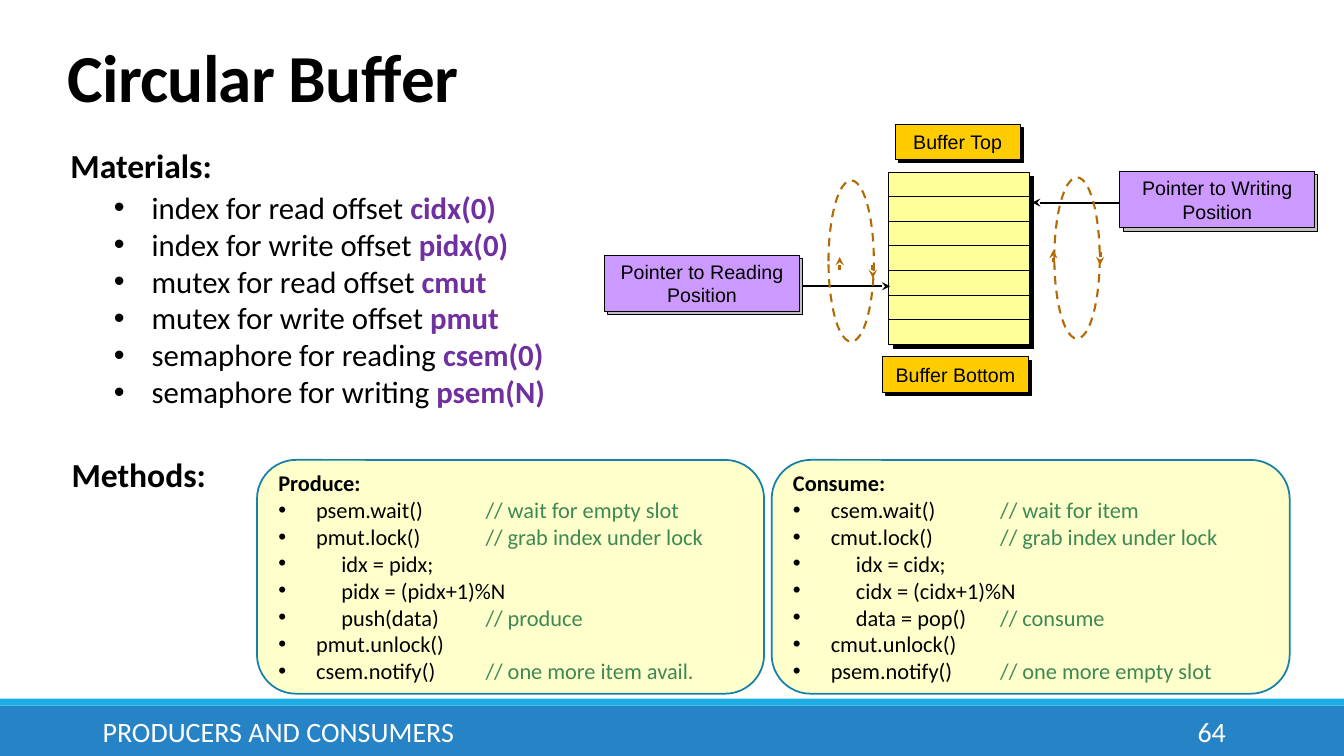
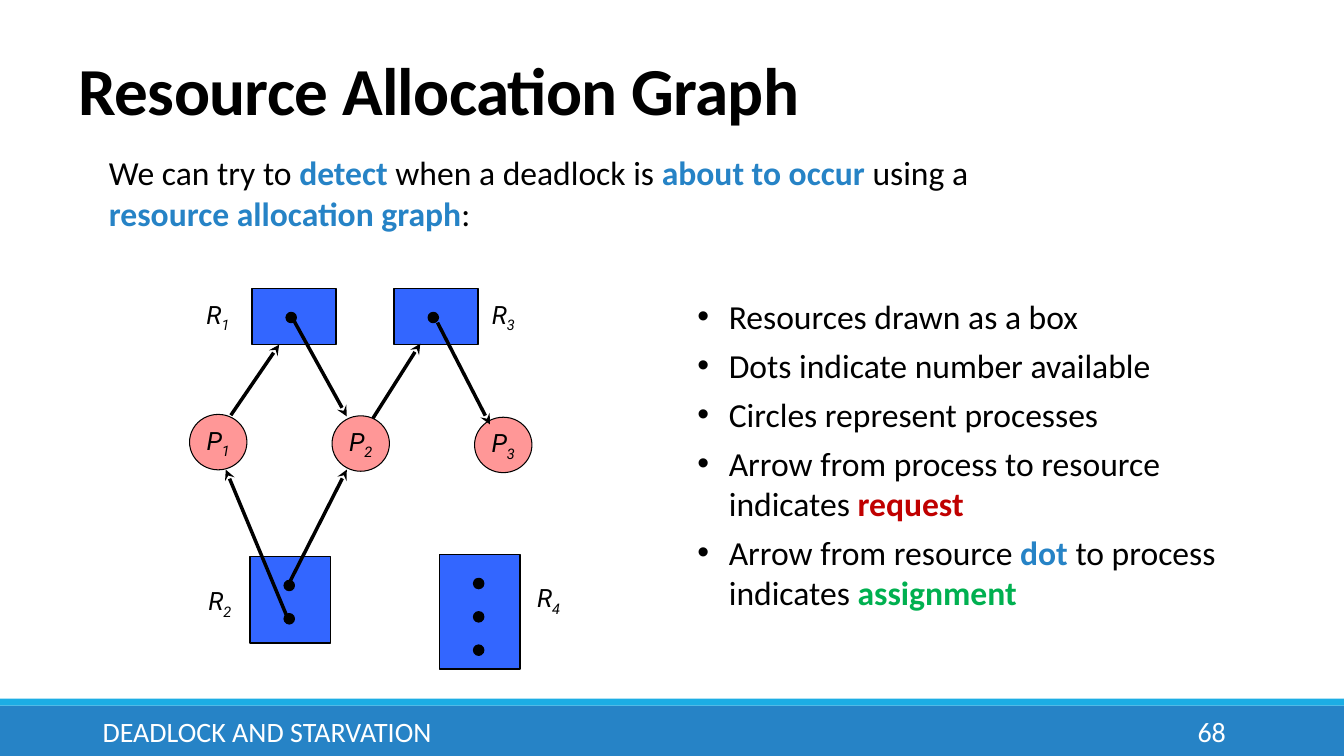
from dataclasses import dataclass
from typing import NamedTuple

import lxml.etree
import pptx
import pptx.dml.color
import pptx.enum.dml
import pptx.enum.shapes
import pptx.enum.text
import pptx.oxml.ns
import pptx.util

Pt = pptx.util.Pt
qn = pptx.oxml.ns.qn
SHAPE = pptx.enum.shapes.MSO_SHAPE
ALIGN = pptx.enum.text.PP_ALIGN
ANCHOR = pptx.enum.text.MSO_ANCHOR

BLACK, WHITE = "000000", "FFFFFF"
BLUE, CYAN = "2683C6", "1CADE4"
PURPLE, GREEN, BROWN = "7030A0", "3E8853", "B26B02"
GOLD, LILAC, SILVER, YELLOW = "FFCC00", "CC99FF", "C0C0C0", "FFFF99"
CODE_FILL, CODE_EDGE = "FFFFCC", "1580A9"
RESOURCE, PROCESS = "3366FF", "FF9797"


class Box(NamedTuple):
    left: float
    top: float
    width: float
    height: float

    def moved(self, across: float, down: float) -> "Box":
        return Box(self.left + across, self.top + down, self.width, self.height)


@dataclass(frozen=True)
class Piece:
    text: str
    color: str = BLACK
    bold: bool = False
    italic: bool = False
    subscript: bool = False


@dataclass(frozen=True)
class Style:
    size: float
    font: str = "Calibri"
    align: ALIGN = ALIGN.LEFT
    anchor: ANCHOR = ANCHOR.TOP
    after: float = 0
    indent: float = 0
    tab: float = 0
    margin: float | None = None


class Label(NamedTuple):
    text: str
    box: Box
    fill: str
    shadow: str


class Listing(NamedTuple):
    box: Box
    heading: str
    lines: list[tuple[str, str]]


class Resource(NamedTuple):
    number: str
    box: Box
    label: tuple[float, float]
    dots: int


class Arrow(NamedTuple):
    x1: float
    y1: float
    x2: float
    y2: float


Line = list[Piece]


def colour(hex_text: str) -> pptx.dml.color.RGBColor:
    return pptx.dml.color.RGBColor.from_string(hex_text)


def place(shape, box: Box) -> None:
    shape.left, shape.top, shape.width, shape.height = (Pt(value) for value in box)


def add_bullet(paragraph, style: Style) -> None:
    properties = paragraph._p.get_or_add_pPr()
    properties.set("marL", str(Pt(style.indent)))
    properties.set("indent", str(-Pt(style.indent)))
    lxml.etree.SubElement(properties, qn("a:buFont")).set("typeface", "Arial")
    lxml.etree.SubElement(properties, qn("a:buChar")).set("char", "•")
    if style.tab:
        tabs = lxml.etree.SubElement(properties, qn("a:tabLst"))
        tab = lxml.etree.SubElement(tabs, qn("a:tab"))
        tab.set("pos", str(Pt(style.tab)))
        tab.set("algn", "l")


def add_runs(paragraph, pieces: Line, style: Style) -> None:
    for piece in pieces:
        run = paragraph.add_run()
        run.text = piece.text
        run.font.name = style.font
        run.font.size = Pt(style.size)
        run.font.bold = piece.bold
        run.font.italic = piece.italic
        run.font.color.rgb = colour(piece.color)
        if piece.subscript:
            run.font._element.set("baseline", "-25000")


def write(shape, lines: list[Line], style: Style, plain_lines: int = 0) -> None:
    frame = shape.text_frame
    frame.word_wrap = True
    frame.vertical_anchor = style.anchor
    if style.margin is not None:
        frame.margin_left = frame.margin_right = Pt(style.margin)
    for index, pieces in enumerate(lines):
        paragraph = frame.add_paragraph() if index else frame.paragraphs[0]
        paragraph.alignment = style.align
        paragraph.space_after = Pt(style.after)
        if style.indent and index >= plain_lines:
            add_bullet(paragraph, style)
        add_runs(paragraph, pieces, style)


def add_text(slide, box: Box, lines: list[Line], style: Style) -> None:
    write(slide.shapes.add_textbox(*(Pt(value) for value in box)), lines, style)


def add_shape(slide, kind, box: Box, fill: str | None, edge: str | None = BLACK,
              weight: float = 0.75):
    shape = slide.shapes.add_shape(kind, *(Pt(value) for value in box))
    shape.shadow.inherit = False
    if fill:
        shape.fill.solid()
        shape.fill.fore_color.rgb = colour(fill)
    else:
        shape.fill.background()
    if edge:
        shape.line.color.rgb = colour(edge)
        shape.line.width = Pt(weight)
    else:
        shape.line.fill.background()
    return shape


def add_line(slide, ends: Arrow, weight: float, color: str = BLACK,
             head: bool = True) -> None:
    connector = slide.shapes.add_connector(
        pptx.enum.shapes.MSO_CONNECTOR.STRAIGHT, *(Pt(value) for value in ends))
    connector.line.color.rgb = colour(color)
    connector.line.width = Pt(weight)
    if head:
        outline = connector.line._get_or_add_ln()
        lxml.etree.SubElement(outline, qn("a:tailEnd")).set("type", "stealth")
    lxml.etree.SubElement(connector._element.spPr, qn("a:effectLst"))


def move_bands_to_layout(slide) -> None:
    tree = slide.slide_layout.shapes.element
    bands = [(Box(0, 504, 960, 36), BLUE), (Box(0, 499, 960, 5), CYAN)]
    for index, (box, fill) in enumerate(bands):
        band = add_shape(slide, SHAPE.RECTANGLE, box, fill, None)
        band.element.nvSpPr.cNvPr.set("id", str(100 + index))
        tree.insert(2 + index, band.element)


def add_slide(presentation, title: str, corner: tuple[float, float], footer: str, number: str):
    slide = presentation.slides.add_slide(presentation.slide_layouts[5])
    heading = slide.shapes.title
    place(heading, Box(*corner, 792, 61.2))
    write(heading, [[Piece(title, bold=True)]], Style(48, anchor=ANCHOR.BOTTOM))
    heading.text_frame.auto_size = pptx.enum.text.MSO_AUTO_SIZE.NONE
    paragraph = heading.text_frame.paragraphs[0]
    paragraph.line_spacing = 0.85
    paragraph.runs[0].font._element.set("spc", "-50")
    for text, box, align in ((footer, Box(66.2, 508.3, 604, 28.8), ALIGN.LEFT),
                             (number, Box(779.8, 508.3, 103, 28.8), ALIGN.RIGHT)):
        add_text(slide, box, [[Piece(text, WHITE)]],
                 Style(20, align=align, anchor=ANCHOR.MIDDLE))
    return slide


def draw_buffer(slide) -> None:
    buffer, rows = Box(635, 123, 100.4, 123), 7
    add_shape(slide, SHAPE.RECTANGLE, buffer.moved(3, 3), BLACK)
    add_shape(slide, SHAPE.RECTANGLE, buffer, YELLOW)
    for row in range(1, rows):
        y = buffer.top + buffer.height * row / rows
        add_line(slide, Arrow(buffer.left, y, buffer.left + buffer.width, y), 0.75, head=False)
    for arrow in (Arrow(553, 204.5, 635.8, 204.5), Arrow(836.6, 144.7, 737.3, 144.7)):
        add_line(slide, arrow, 1.5)
    labels = [
        Label("Buffer Top", Box(639.4, 88.6, 89.3, 25.2), GOLD, BLACK),
        Label("Buffer Bottom", Box(630.7, 254.9, 103.7, 25.2), GOLD, BLACK),
        Label("Pointer to Reading Position", Box(432, 182.2, 139, 40.3), LILAC, SILVER),
        Label("Pointer to Writing Position", Box(800, 122.4, 139, 40.3), LILAC, SILVER),
    ]
    style = Style(14, "Arial", ALIGN.CENTER, ANCHOR.MIDDLE, margin=0)
    for label in labels:
        add_shape(slide, SHAPE.RECTANGLE, label.box.moved(2.2, 2.5), label.shadow)
        shape = add_shape(slide, SHAPE.RECTANGLE, label.box, label.fill)
        write(shape, [[Piece(label.text)]], style)
    for left, top in ((591.8, 128.9), (753.1, 126.7)):
        loop = add_shape(slide, SHAPE.OVAL, Box(left, top, 32.4, 115.2), None, BROWN, 1.5)
        loop.line.dash_style = pptx.enum.dml.MSO_LINE.DASH
    for x, start, end in ((752.4, 187.2, 178.6), (599.8, 193, 183.6),
                          (623.5, 189.4, 198.7), (785.8, 180, 189.4)):
        add_line(slide, Arrow(x, start, x, end), 0, BROWN)


def draw_listing(slide, listing: Listing) -> None:
    lines = [[Piece(listing.heading, bold=True)]]
    for code, comment in listing.lines:
        pieces = [Piece(code)]
        if comment:
            pieces += [Piece("\t"), Piece(comment, GREEN)]
        lines.append(pieces)
    shape = add_shape(slide, SHAPE.ROUNDED_RECTANGLE, listing.box, CODE_FILL, CODE_EDGE, 1.25)
    write(shape, lines, Style(16, anchor=ANCHOR.MIDDLE, indent=27, tab=148), plain_lines=1)


def build_circular_buffer(slide) -> None:
    draw_buffer(slide)
    for text, left, top in (("Materials:", 43.2, 100), ("Methods:", 44, 321)):
        add_text(slide, Box(left, top, 140, 36), [[Piece(text, bold=True)]], Style(24))
    materials = [
        ("index for read offset ", "cidx(0)"), ("index for write offset ", "pidx(0)"),
        ("mutex for read offset ", "cmut"), ("mutex for write offset ", "pmut"),
        ("semaphore for reading ", "csem(0)"), ("semaphore for writing ", "psem(N)"),
    ]
    lines = [[Piece(use), Piece(name, PURPLE, bold=True)] for use, name in materials]
    add_text(slide, Box(74.2, 131, 350, 167), lines, Style(22, indent=27))
    draw_listing(slide, Listing(Box(183.6, 328.5, 362.2, 167), "Produce:", [
        ("psem.wait()", "// wait for empty slot"),
        ("pmut.lock()", "// grab index under lock"),
        ("     idx = pidx;", ""),
        ("     pidx = (pidx+1)%N", ""),
        ("     push(data)", "// produce"),
        ("pmut.unlock()", ""),
        ("csem.notify()", "// one more item avail."),
    ]))
    draw_listing(slide, Listing(Box(551.2, 328.5, 370, 167), "Consume:", [
        ("csem.wait()", "// wait for item"),
        ("cmut.lock()", "// grab index under lock"),
        ("     idx = cidx;", ""),
        ("     cidx = (cidx+1)%N", ""),
        ("     data = pop()", "// consume"),
        ("cmut.unlock()", ""),
        ("psem.notify()", "// one more empty slot"),
    ]))


def symbol(letter: str, number: str) -> list[Line]:
    return [[Piece(letter, italic=True), Piece(number, italic=True, subscript=True)]]


def draw_graph(slide) -> None:
    resources = [
        Resource("1", Box(180, 206, 60, 40.3), (140.4, 210), 1),
        Resource("3", Box(281.5, 206, 60, 40.3), (344.2, 210), 1),
        Resource("2", Box(178.6, 397.4, 57.6, 61.9), (141.8, 414.7), 2),
        Resource("4", Box(313.9, 396, 57.6, 82), (376.6, 412.6), 3),
    ]
    dot = 7
    for resource in resources:
        add_shape(slide, SHAPE.RECTANGLE, resource.box, RESOURCE, weight=1)
        for index in range(resource.dots):
            corner = Box(resource.box.left + 24.5, resource.box.top + 17.3 + 23.8 * index, dot, dot)
            add_shape(slide, SHAPE.OVAL, corner, BLACK, weight=1.25)
        add_text(slide, Box(*resource.label, 33.8, 28.8), symbol("R", resource.number),
                 Style(18, "Roboto"))
    for index in range(3):
        circle = add_shape(slide, SHAPE.OVAL, Box(135.4 + 101.8 * index, 296 + index, 41, 39.6),
                           PROCESS)
        write(circle, symbol("P", str(index + 1)),
              Style(18, "Roboto", ALIGN.CENTER, ANCHOR.MIDDLE, margin=0))
    for arrow in (Arrow(206, 442.8, 161.3, 335.5), Arrow(206, 417.6, 247.7, 335.5),
                  Arrow(266.4, 298.8, 300.2, 245.5), Arrow(164.9, 296.6, 199.4, 246.2),
                  Arrow(312.5, 230.4, 349.9, 303.1), Arrow(209.5, 228.2, 247.7, 297.4)):
        add_line(slide, arrow, 2.5)


def build_allocation_graph(slide) -> None:
    intro = [Piece("We can try to "), Piece("detect", BLUE, True),
             Piece(" when a deadlock is "), Piece("about to occur ", BLUE, True),
             Piece("using a "), Piece("resource allocation graph", BLUE, True), Piece(":")]
    add_text(slide, Box(77.8, 105.1, 648, 65.5), [intro], Style(24, margin=0))
    draw_graph(slide)
    notes = [
        [Piece("Resources drawn as a box")],
        [Piece("Dots indicate number available")],
        [Piece("Circles represent processes")],
        [Piece("Arrow from process to resource indicates "), Piece("request", "C00000", True)],
        [Piece("Arrow from resource "), Piece("dot", BLUE, True),
         Piece(" to process indicates "), Piece("assignment", "00B050", True)],
    ]
    add_text(slide, Box(491, 208.1, 416.9, 234.7), notes, Style(24, after=6, indent=22.5))


def main() -> None:
    presentation = pptx.Presentation()
    presentation.slide_width, presentation.slide_height = Pt(960), Pt(540)
    slide = add_slide(presentation, "Circular Buffer", (41, 25.2),
                      "PRODUCERS AND CONSUMERS", "64")
    move_bands_to_layout(slide)
    build_circular_buffer(slide)
    slide = add_slide(presentation, "Resource Allocation Graph", (49, 34.6),
                      "DEADLOCK AND STARVATION", "68")
    build_allocation_graph(slide)
    presentation.save("out.pptx")


if __name__ == "__main__":
    main()
